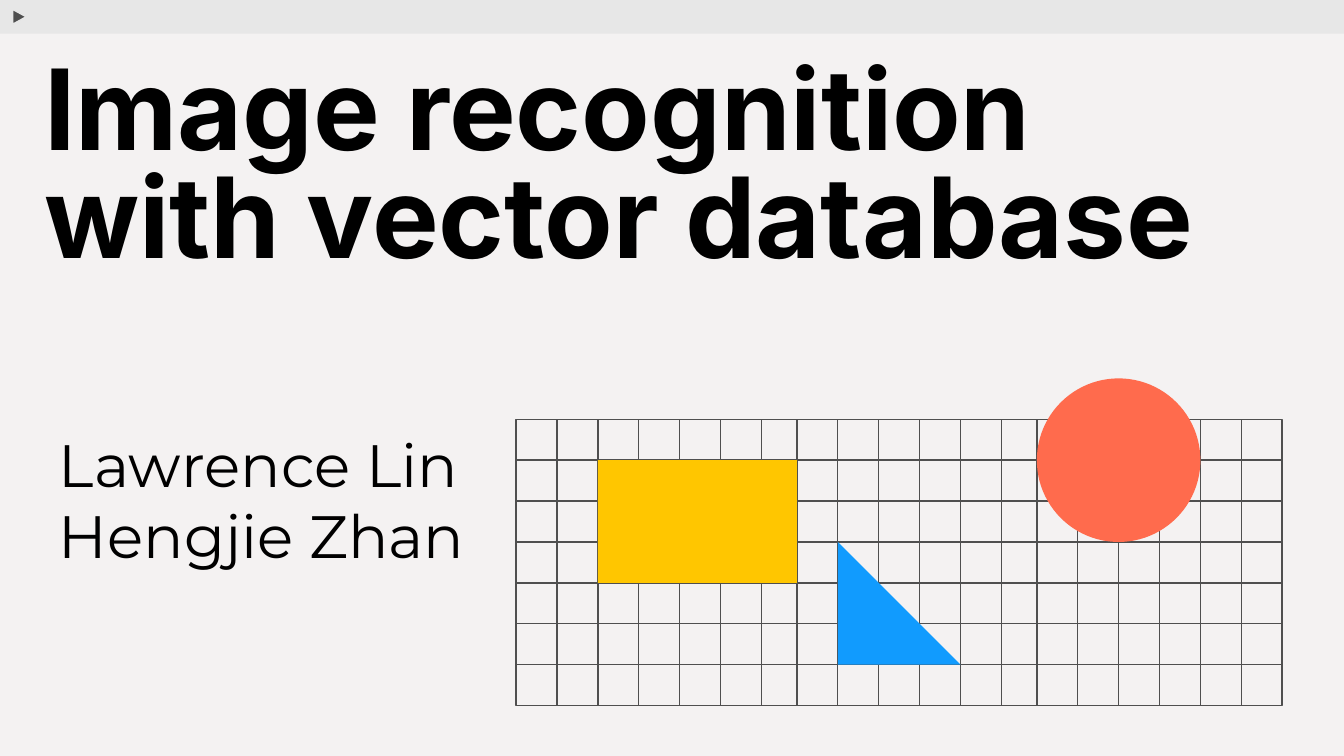
from lxml.etree import SubElement
from pptx import Presentation
from pptx.dml.color import RGBColor
from pptx.enum.shapes import MSO_CONNECTOR, MSO_SHAPE
from pptx.enum.text import MSO_ANCHOR
from pptx.oxml.ns import qn
from pptx.util import Inches, Pt

COLORS = {
    "page": "F4F2F2",
    "bar": "E7E7E7",
    "line": "4F4F4F",
    "text": "000000",
    "yellow": "FFC600",
    "coral": "FF6B4D",
    "blue": "119BFE",
}
COLUMNS, ROWS = 19, 7
NARROW_COLUMNS = (6, 12)
NARROWING = 0.04


def color(name):
    """Return the named colour."""
    return RGBColor.from_string(COLORS[name])


def add_figure(shapes, kind, box, fill=None, line=None):
    """Add a preset shape in box, with optional fill and thin line."""
    figure = shapes.add_shape(kind, *(Inches(length) for length in box))
    figure.shadow.inherit = False
    if fill:
        figure.fill.solid()
        figure.fill.fore_color.rgb = color(fill)
    else:
        figure.fill.background()
    if line:
        figure.line.color.rgb = color(line)
        figure.line.width = Pt(0.75)
    else:
        figure.line.fill.background()
    return figure


def add_rule(shapes, start, end):
    """Add a thin straight line between two points."""
    points = (Inches(length) for length in (*start, *end))
    rule = shapes.add_connector(MSO_CONNECTOR.STRAIGHT, *points)
    rule.line.color.rgb = color("line")
    rule.line.width = Pt(0.75)
    SubElement(rule._element.spPr, qn("a:effectLst"))


def add_text(page, box, lines, font, size, bold=False, spacing=None):
    """Add a text box with one paragraph per line."""
    frame = page.shapes.add_textbox(*(Inches(length) for length in box)).text_frame
    frame.word_wrap = True
    frame.vertical_anchor = MSO_ANCHOR.TOP
    frame.margin_left = frame.margin_right = Inches(0.1)
    frame.margin_top = frame.margin_bottom = Inches(0.1)
    for index, line in enumerate(lines):
        para = frame.add_paragraph() if index else frame.paragraphs[0]
        if spacing:
            para.line_spacing = spacing
        span = para.add_run()
        span.text = line
        span.font.name = font
        span.font.size = Pt(size)
        span.font.bold = bold
        span.font.color.rgb = color("text")


def add_top_bar(page, box):
    """Add the top bar with its play mark."""
    left, top, width, height = box
    add_figure(page.shapes, MSO_SHAPE.RECTANGLE, box, "bar")
    mark = (left + 0.1, top + height * 0.3, 0.11, 0.1)
    play = add_figure(page.shapes, MSO_SHAPE.ISOSCELES_TRIANGLE, mark, "line", "bar")
    play.rotation = 90


def add_grid_art(page, box):
    """Add the ruled grid with figures that span its cells."""
    left, top, width, height = box
    cell_width = (width + NARROWING * len(NARROW_COLUMNS)) / COLUMNS
    cell_height = height / ROWS

    def column_edge(column):
        passed = sum(column > narrow for narrow in NARROW_COLUMNS)
        return left + column * cell_width - passed * NARROWING

    def row_edge(row):
        return top + row * cell_height

    grid = page.shapes.add_group_shape().shapes
    add_figure(grid, MSO_SHAPE.RECTANGLE, box, line="line")
    for column in range(1, COLUMNS):
        x = column_edge(column)
        add_rule(grid, (x, top), (x, top + height))
    for row in range(1, ROWS + 1):
        y = row_edge(row)
        add_rule(grid, (left, y), (left + width, y))

    figures = [
        (MSO_SHAPE.RECTANGLE, "yellow", (2, 7), (1, 4)),
        (MSO_SHAPE.OVAL, "coral", (13, 17), (-1, 3)),
        (MSO_SHAPE.RIGHT_TRIANGLE, "blue", (8, 11), (3, 6)),
    ]
    for kind, fill, columns, rows in figures:
        x, right = map(column_edge, columns)
        y, bottom = map(row_edge, rows)
        add_figure(grid, kind, (x, y, right - x, bottom - y), fill)


def build_cover(page):
    """Place the regions of the cover slide."""
    page.background.fill.solid()
    page.background.fill.fore_color.rgb = color("page")
    add_top_bar(page, (-0.01, 0, 10.01, 0.25))
    title = ["Image recognition with vector database"]
    add_text(page, (0.23, 0.38, 9.01, 2.19), title, "Inter", 60, True, 0.8)
    add_grid_art(page, (3.84, 3.12, 5.7, 2.13))
    authors = ["Lawrence Lin", "Hengjie Zhan"]
    add_text(page, (0.34, 3.08, 5.48, 2.09), authors, "Montserrat", 32)


def main():
    """Build and save the deck."""
    deck = Presentation()
    deck.slide_width = Inches(10)
    deck.slide_height = deck.slide_width * 9 // 16
    build_cover(deck.slides.add_slide(deck.slide_layouts[6]))
    deck.save("out.pptx")


if __name__ == "__main__":
    main()
